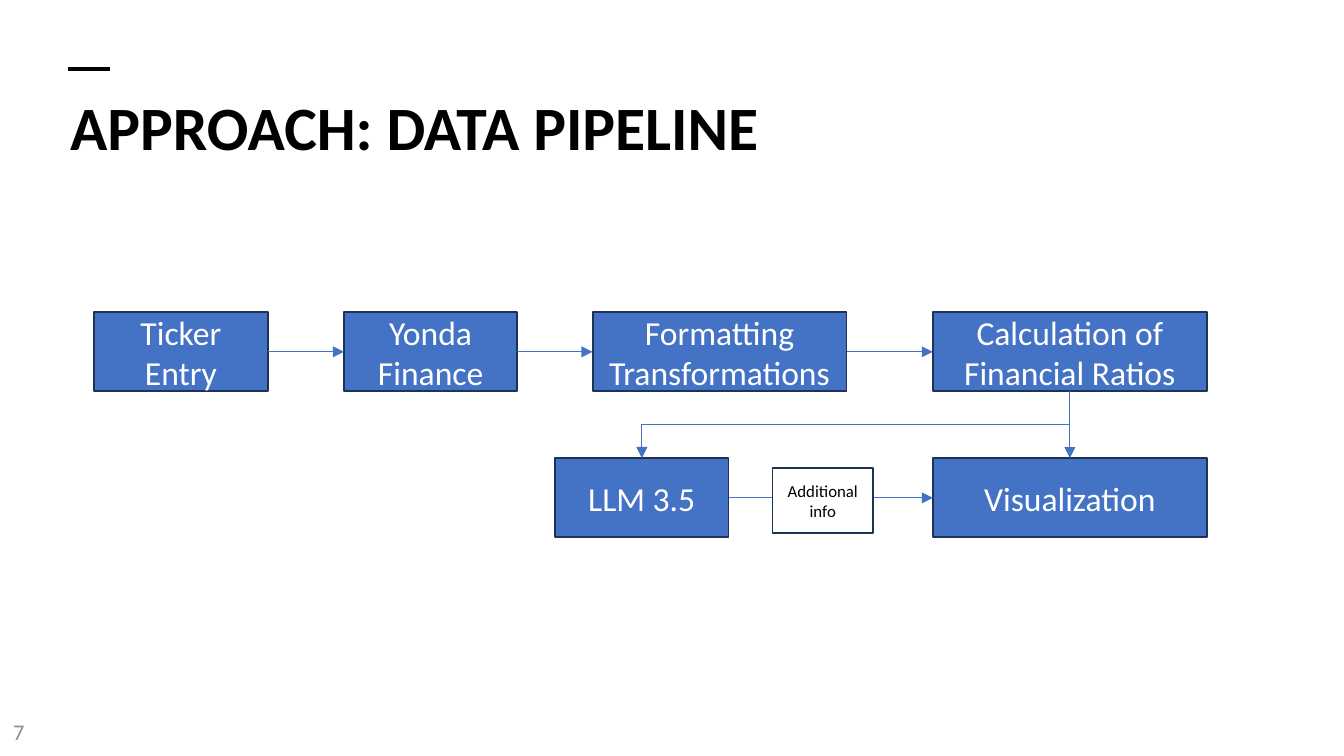
"""Build the data pipeline slide with its flow of boxes and arrows."""
from dataclasses import dataclass

from lxml import etree
from pptx import Presentation
from pptx.dml.color import RGBColor
from pptx.enum.shapes import MSO_CONNECTOR, MSO_SHAPE
from pptx.enum.text import MSO_ANCHOR, MSO_AUTO_SIZE, PP_ALIGN
from pptx.oxml.ns import qn
from pptx.util import Cm, Pt

BLUE = RGBColor(0x44, 0x72, 0xC4)
NAVY = RGBColor(0x1E, 0x32, 0x56)
BLACK = RGBColor(0, 0, 0)
WHITE = RGBColor(0xFF, 0xFF, 0xFF)
GRAY = RGBColor(0x8C, 0x8C, 0x8C)
FONT = "Calibri"
STRAIGHT, ELBOW = MSO_CONNECTOR.STRAIGHT, MSO_CONNECTOR.ELBOW
RECTANGLE = MSO_SHAPE.RECTANGLE
TOP, MIDDLE = MSO_ANCHOR.TOP, MSO_ANCHOR.MIDDLE
LEFT, CENTER = PP_ALIGN.LEFT, PP_ALIGN.CENTER
NO_AUTO_SIZE = MSO_AUTO_SIZE.NONE
TITLE_ONLY = 5
SITE_TOP, SITE_LEFT, SITE_BOTTOM, SITE_RIGHT = range(4)
UPPER_ROW, LOWER_ROW = 5.9, 8.66
NARROW, MEDIUM, WIDE = 3.28, 4.8, 5.18


@dataclass(frozen=True)
class Box:
    """A labelled rectangle, measured in centimetres."""

    text: str
    left: float
    top: float
    width: float
    height: float = 1.5
    fill: RGBColor = BLUE
    color: RGBColor = WHITE
    size: float = 18


TICKER = Box("Ticker Entry", 1.78, UPPER_ROW, NARROW)
SOURCE = Box("Yonda Finance", 6.5, UPPER_ROW, NARROW)
FORMATTING = Box("Formatting Transformations", 11.2, UPPER_ROW, MEDIUM)
RATIOS = Box("Calculation of Financial Ratios", 17.63, UPPER_ROW, WIDE)
MODEL = Box("LLM 3.5", 10.49, LOWER_ROW, NARROW)
VISUALIZATION = Box("Visualization", 17.63, LOWER_ROW, WIDE)
INFO = Box("Additional info", 14.6, 8.84, 1.9, 1.24, WHITE, BLACK, 9)
STEPS = (TICKER, SOURCE, FORMATTING, RATIOS, MODEL, VISUALIZATION)
ACROSS = ((TICKER, SOURCE), (SOURCE, FORMATTING), (FORMATTING, RATIOS),
          (MODEL, VISUALIZATION))


def write_text(shape, text: str, *, size: float, color: RGBColor,
               bold: bool = False, align=LEFT, anchor=MIDDLE,
               spacing=None) -> None:
    """Put one formatted paragraph into a shape."""
    frame = shape.text_frame
    frame.word_wrap = True
    frame.auto_size = NO_AUTO_SIZE
    frame.vertical_anchor = anchor
    paragraph = frame.paragraphs[0]
    paragraph.alignment = align
    paragraph.line_spacing = spacing
    run = paragraph.add_run()
    run.text = text
    run.font.name = FONT
    run.font.size = Pt(size)
    run.font.bold = bold
    run.font.color.rgb = color


def add_box(slide, box: Box):
    """Draw a box and return its shape."""
    shape = slide.shapes.add_shape(RECTANGLE, Cm(box.left), Cm(box.top),
                                   Cm(box.width), Cm(box.height))
    shape.shadow.inherit = False
    shape.fill.solid()
    shape.fill.fore_color.rgb = box.fill
    shape.line.color.rgb = NAVY
    shape.line.width = Pt(1)
    write_text(shape, box.text, size=box.size, color=box.color, align=CENTER)
    return shape


def style_line(connector, color: RGBColor, width: float,
               arrow: bool = True) -> None:
    """Set the line of a connector and drop its shadow."""
    connector.line.color.rgb = color
    connector.line.width = Pt(width)
    if arrow:
        line = connector.line._get_or_add_ln()
        etree.SubElement(line, qn("a:tailEnd"), type="triangle")
    etree.SubElement(connector._element.spPr, qn("a:effectLst"))


def add_arrow(slide, source, source_site: int, target, target_site: int) -> None:
    """Join two shapes with a straight arrow."""
    connector = slide.shapes.add_connector(STRAIGHT, 0, 0, 0, 0)
    connector.begin_connect(source, source_site)
    connector.end_connect(target, target_site)
    style_line(connector, BLUE, 0.5)


def add_branch(slide, source, target) -> None:
    """Draw a down, left, down arrow as an elbow turned by a quarter."""
    start_x, start_y = source.left + source.width // 2, source.top + source.height
    end_x, end_y = target.left + target.width // 2, target.top
    run, drop = start_x - end_x, end_y - start_y
    left = (start_x + end_x - drop) // 2
    top = (start_y + end_y - run) // 2
    connector = slide.shapes.add_connector(ELBOW, left, top, left + drop, top + run)
    connector._element.spPr.find(qn("a:xfrm")).set("rot", "5400000")
    style_line(connector, BLUE, 0.5)


def main() -> None:
    """Assemble and save the slide."""
    presentation = Presentation()
    presentation.slide_width, presentation.slide_height = Cm(25.4), Cm(14.29)
    slide = presentation.slides.add_slide(presentation.slide_layouts[TITLE_ONLY])

    accent = slide.shapes.add_connector(STRAIGHT, Cm(1.28), Cm(1.3), Cm(2.08), Cm(1.3))
    style_line(accent, BLACK, 2.25, arrow=False)

    title = slide.shapes.title
    title.left, title.top, title.width, title.height = (
        Cm(1.07), Cm(1.9), Cm(23.42), Cm(2.29))
    write_text(title, "APPROACH: DATA PIPELINE", size=33, color=BLACK,
               bold=True, anchor=TOP, spacing=Pt(30))

    shapes = {box: add_box(slide, box) for box in STEPS}
    for source, target in ACROSS:
        add_arrow(slide, shapes[source], SITE_RIGHT, shapes[target], SITE_LEFT)
    add_arrow(slide, shapes[RATIOS], SITE_BOTTOM, shapes[VISUALIZATION], SITE_TOP)
    add_branch(slide, shapes[RATIOS], shapes[MODEL])
    add_box(slide, INFO)

    page_number = slide.shapes.add_textbox(0, Cm(13.44), Cm(5.72), Cm(0.76))
    write_text(page_number, "7", size=12, color=GRAY)
    presentation.save("out.pptx")


if __name__ == "__main__":
    main()
